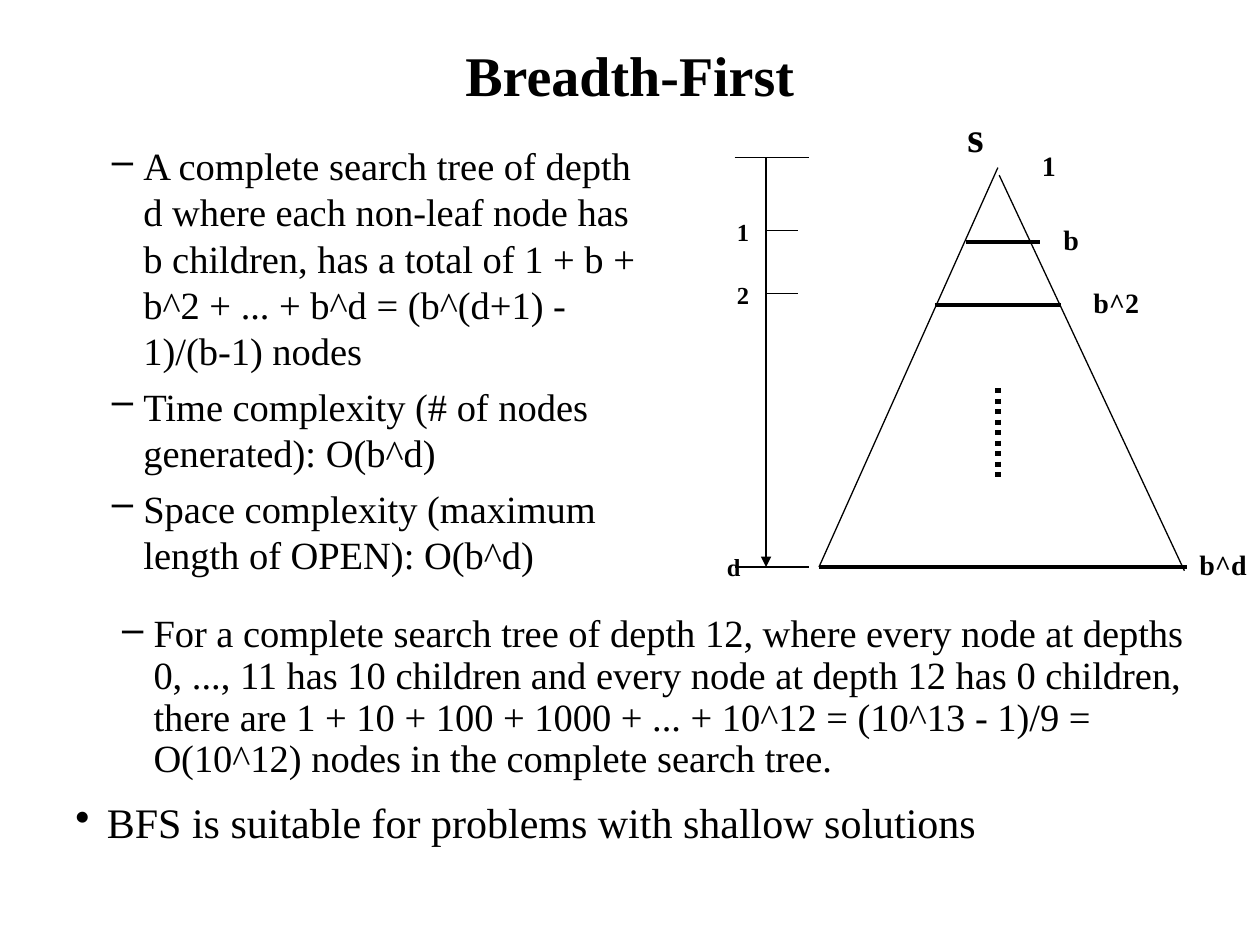
from lxml import etree
from pptx import Presentation
from pptx.dml.color import RGBColor
from pptx.enum.dml import MSO_LINE_DASH_STYLE as Dash
from pptx.enum.shapes import MSO_CONNECTOR as Connector
from pptx.enum.text import MSO_ANCHOR as Anchor, PP_ALIGN as Align
from pptx.oxml.ns import qn
from pptx.util import Inches, Pt

COLORS = {"ink": "000000", "paper": "FFFFFF"}
FONT = "Times New Roman"
# Outline level: (bullet, left margin in inches, text size)
LEVELS = {0: ("•", 0.25, 24), 1: ("–", 0.62, 22)}
HANGING = 0.25


def style(para, size, bold=False):
    for span in para.runs:
        span.font.name = FONT
        span.font.size = Pt(size)
        span.font.bold = bold
        span.font.color.rgb = RGBColor.from_string(COLORS["ink"])


def add_text(page, left, top, width, height, text, size, bold=False):
    box = page.shapes.add_textbox(
        Inches(left), Inches(top), Inches(width), Inches(height))
    box.text_frame.word_wrap = True
    box.text_frame.text = text
    style(box.text_frame.paragraphs[0], size, bold)
    return box


def add_line(page, start, end, weight=0.75):
    line = page.shapes.add_connector(
        Connector.STRAIGHT, *(Inches(value) for value in (*start, *end)))
    line.line.color.rgb = RGBColor.from_string(COLORS["ink"])
    line.line.width = Pt(weight)
    etree.SubElement(line._element.spPr, qn("a:effectLst"))
    return line


def add_title(page, left, top, width, height, text):
    box = add_text(page, left, top, width, height, text, 32, bold=True)
    box.text_frame.vertical_anchor = Anchor.MIDDLE
    box.text_frame.paragraphs[0].alignment = Align.CENTER


def add_outline(page, left, top, width, height, items, spacing=None):
    """Bulleted list; each item is (level, space before, text)."""
    box = page.shapes.add_textbox(
        Inches(left), Inches(top), Inches(width), Inches(height))
    frame = box.text_frame
    frame.word_wrap = True
    for index, (level, before, text) in enumerate(items):
        para = frame.add_paragraph() if index else frame.paragraphs[0]
        para.text = text
        para.level = level
        para.space_before = Pt(before)
        if spacing:
            para.line_spacing = spacing
        bullet, margin, size = LEVELS[level]
        props = para._p.get_or_add_pPr()
        props.set("marL", str(Inches(margin)))
        props.set("indent", str(-Inches(HANGING)))
        etree.SubElement(props, qn("a:buChar"), char=bullet)
        style(para, size)


def add_depth_scale(page, left, top, height):
    """Vertical depth arrow with end bars, ticks and labels."""
    axis, bottom = left + 0.25, top + height
    for y in (top, bottom):
        add_line(page, (left, y), (left + 0.59, y))
    arrow = add_line(page, (axis, top), (axis, bottom))
    outline = arrow.line._get_or_add_ln()
    etree.SubElement(outline, qn("a:tailEnd"), type="triangle")
    for label, offset in (("1", 0.58), ("2", 1.08)):
        y = top + offset
        add_line(page, (axis, y), (axis + 0.25, y))
        add_text(page, left - 0.08, y - 0.16, 0.33, 0.34, label, 14, bold=True)
    add_text(page, left - 0.16, bottom - 0.17, 0.33, 0.34, "d", 14, bold=True)


def add_tree(page, left, top, width, height):
    """Search tree triangle with its levels and their node counts."""
    apex, bottom = left + 1.42, top + height
    add_line(page, (apex, top), (left, bottom))
    add_line(page, (apex + 0.01, top + 0.06), (left + width - 0.02, bottom + 0.03))
    # Levels: offset from apex, start, end
    for offset, start, end in ((0.59, 1.17, 1.75), (1.09, 0.92, 1.92),
                               (height, 0, width)):
        y = top + offset
        add_line(page, (left + start, y), (left + end, y), 2.25)
    # Node counts: text, offsets, width
    for label, x, y, span in (("1", 1.67, -0.2, 0.31), ("b", 1.84, 0.39, 0.32),
                              ("b^2", 2.08, 0.89, 0.58),
                              ("b^d", width, height - 0.2, 0.58)):
        add_text(page, left + x, top + y, span, 0.37, label, 16, bold=True)
    add_text(page, apex - 0.34, top - 0.5, 0.42, 0.5, "s", 24, bold=True)
    # Omitted levels
    dots = add_line(page, (apex, top + 1.75), (apex, top + 2.5), 3)
    dots.line.dash_style = Dash.ROUND_DOT


def main():
    deck = Presentation()
    deck.slide_width, deck.slide_height = Inches(10), Inches(7.5)
    page = deck.slides.add_slide(deck.slide_layouts[6])
    page.background.fill.solid()
    page.background.fill.fore_color.rgb = RGBColor.from_string(COLORS["paper"])

    add_title(page, 0.75, 0.25, 8.5, 0.67, "Breadth-First")
    add_outline(page, 0.42, 1.08, 4.83, 3.67, [
        (1, 0, "A complete search tree of depth d where each non-leaf node has "
               "b children, has a total of 1 + b + b^2 + ... + b^d = "
               "(b^(d+1) - 1)/(b-1) nodes"),
        (1, 5.5, "Time complexity (# of nodes generated): O(b^d)"),
        (1, 5.5, "Space complexity (maximum length of OPEN): O(b^d)"),
    ])
    add_tree(page, 6.5, 1.33, 2.92, 3.17)
    add_depth_scale(page, 5.83, 1.25, 3.25)
    add_outline(page, 0.5, 4.83, 9.08, 2.33, [
        (1, 0, "For a complete search tree of depth 12, where every node at "
               "depths 0, ..., 11 has 10 children and every node at depth 12 "
               "has 0 children, there are 1 + 10 + 100 + 1000 + ... + 10^12 = "
               "(10^13 - 1)/9 = O(10^12) nodes in the complete search tree."),
        (0, 12, "BFS is suitable for problems with shallow solutions"),
    ], spacing=0.9)
    deck.save("out.pptx")


if __name__ == "__main__":
    main()
